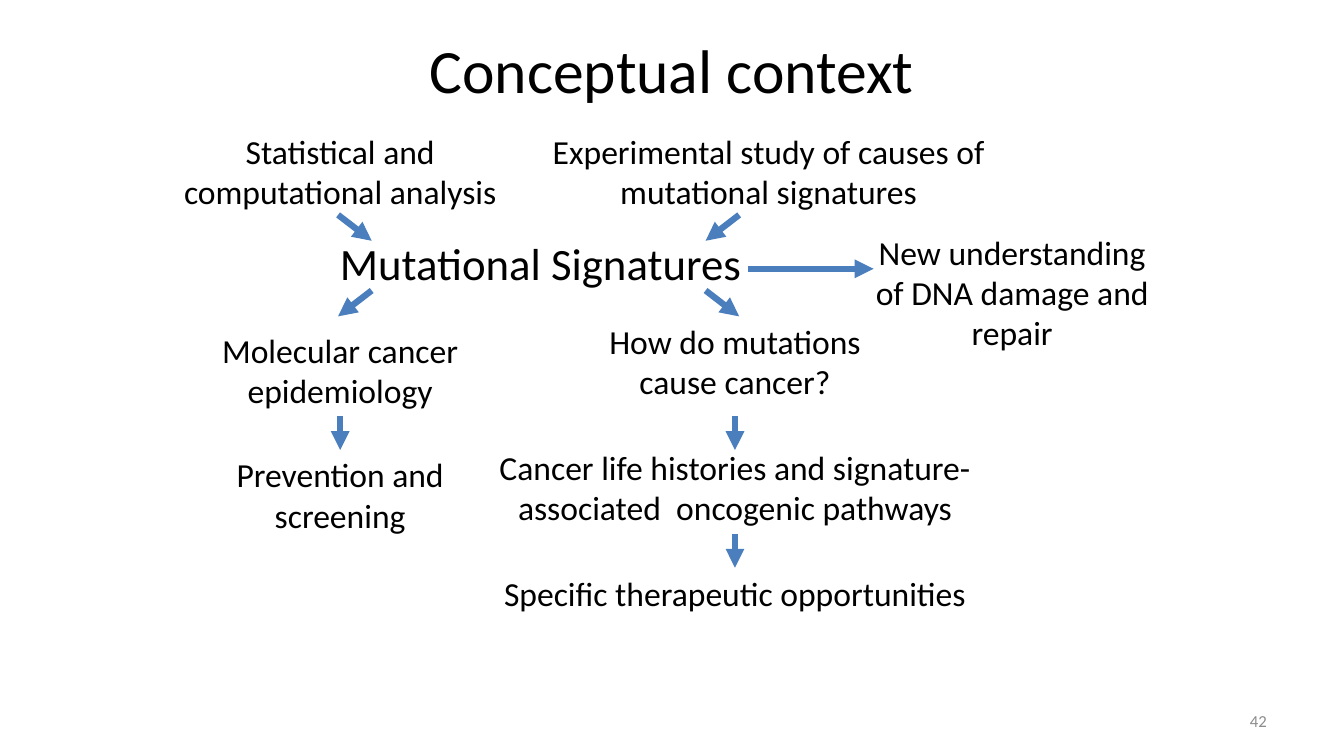
from pptx import Presentation
from pptx.dml.color import RGBColor
from pptx.enum.shapes import MSO_CONNECTOR as Connector
from pptx.enum.text import MSO_ANCHOR as Anchor, PP_ALIGN as Align
from pptx.oxml.ns import qn
from pptx.util import Pt
from lxml.etree import SubElement

BLACK = RGBColor(0x00, 0x00, 0x00)
GRAY = RGBColor(0x8C, 0x8C, 0x8C)
BLUE = RGBColor(0x4B, 0x7E, 0xBC)

LEFT_CENTER, RIGHT_CENTER = 243, 525
ONE_LINE, TWO_LINES, THREE_LINES = 36, 65.5, 94.5


class ConceptSlide:
    font_name = "Calibri"
    arrow_width = 4.5

    def __init__(self, presentation):
        self.slide = presentation.slides.add_slide(presentation.slide_layouts[6])

    def text(self, text, left, top, width, height, size=24, color=BLACK,
             align=Align.CENTER, anchor=Anchor.TOP, wrap=True):
        shape = self.slide.shapes.add_textbox(Pt(left), Pt(top), Pt(width), Pt(height))
        text_frame = shape.text_frame
        text_frame.word_wrap = wrap
        text_frame.vertical_anchor = anchor
        text_frame.text = text
        for paragraph in text_frame.paragraphs:
            paragraph.alignment = align
            for run in paragraph.runs:
                run.font.name = self.font_name
                run.font.size = Pt(size)
                run.font.color.rgb = color

    def concept(self, text, center, top, width, height=TWO_LINES):
        self.text(text, center - width / 2, top, width, height)

    def arrow(self, start_x, start_y, end_x, end_y):
        connector = self.slide.shapes.add_connector(
            Connector.STRAIGHT, Pt(start_x), Pt(start_y), Pt(end_x), Pt(end_y))
        connector.line.color.rgb = BLUE
        connector.line.width = Pt(self.arrow_width)
        SubElement(connector.line._get_or_add_ln(), qn("a:tailEnd"), type="triangle")
        SubElement(connector._element.spPr, qn("a:effectLst"))


def main():
    presentation = Presentation()
    presentation.slide_width, presentation.slide_height = Pt(960), Pt(540)
    slide = ConceptSlide(presentation)

    slide.text("Conceptual context", 48, 18, 864, 62.5, size=44, anchor=Anchor.MIDDLE)
    slide.text("42", 688, 500.5, 224, 29, size=12, color=GRAY,
               align=Align.RIGHT, anchor=Anchor.MIDDLE)
    slide.text("Mutational Signatures", 234, 165, 304.5, 46, size=32, wrap=False)

    for concept in (
        ("Statistical and computational analysis", LEFT_CENTER, 90, 240),
        ("Experimental study of causes of mutational signatures", 549, 90, 342),
        ("Molecular cancer epidemiology", LEFT_CENTER, 232, 246),
        ("How do mutations cause cancer?", RIGHT_CENTER, 225.5, 198),
        ("Prevention and screening", LEFT_CENTER, 321, 246),
        ("Cancer life histories and signature-associated  oncogenic pathways",
         RIGHT_CENTER, 315.5, 390),
        ("Specific therapeutic opportunities", RIGHT_CENTER, 405.5, 378, ONE_LINE),
        ("New understanding\nof DNA damage and repair", 723, 162, 234, THREE_LINES),
    ):
        slide.concept(*concept)

    for outer_x, inner_x in ((241.5, 265.5), (528, 504)):
        slide.arrow(outer_x, 153.5, inner_x, 172)
        slide.arrow(inner_x, 207.5, outer_x, 226)
    for center, top in ((LEFT_CENTER, 297.5), (RIGHT_CENTER, 297.5), (RIGHT_CENTER, 381.5)):
        slide.arrow(center, top, center, top + 24)
    slide.arrow(534, 192, 624, 192)

    presentation.save("out.pptx")


if __name__ == "__main__":
    main()
